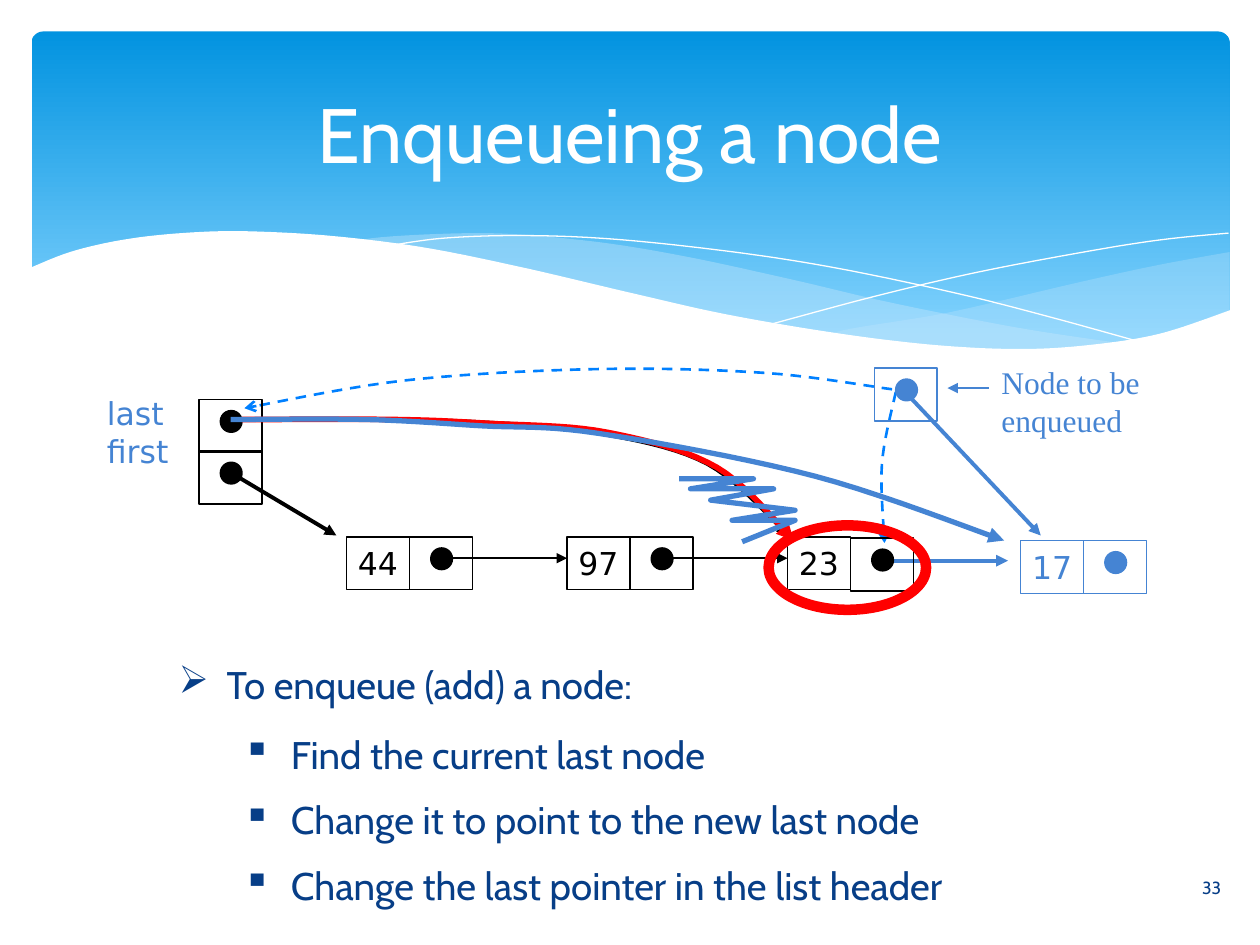
from lxml.etree import SubElement
from pptx import Presentation
from pptx.dml.color import RGBColor
from pptx.enum.dml import MSO_LINE_DASH_STYLE as Dash
from pptx.enum.shapes import MSO_CONNECTOR, MSO_SHAPE
from pptx.enum.text import MSO_ANCHOR as Anchor, PP_ALIGN as Align
from pptx.oxml.ns import qn
from pptx.util import Inches, Pt

BLACK, BLUE, RED, WHITE = "000000", "4584D3", "FF0000", "FFFFFF"
SKY, NAVY, HAZE = "0080FF", "073E87", "C6E7FC"
CELL_W, CELL_H, DOT = 0.5, 0.42, 0.17

RIGHT_HAZE = [(9.76, 2), (9.21, 2.1), (8.61, 2.23), (7.53, 2.48), (6.61, 2.65),
              (7.32, 2.74), (8.03, 2.78), (8.72, 2.74), (9.35, 2.62), (9.76, 2.47)]
LEFT_HAZE = [(8.93, 2.73), (8.07, 2.6), (7.06, 2.4), (6.29, 2.22), (5.41, 2.03),
             (4.65, 1.91), (3.8, 1.85), (2.86, 1.91), (3.62, 2.03), (4.49, 2.22),
             (5.66, 2.48), (6.5, 2.64), (7.22, 2.74), (8.07, 2.78), (8.93, 2.73)]
FALLING_LINE = [(3.09, 1.95), (3.53, 1.89), (4.16, 1.87), (4.89, 1.9), (5.82, 2),
                (6.65, 2.13), (7.6, 2.33), (8.31, 2.51), (9.07, 2.72)]
RISING_LINE = [(6.13, 2.57), (6.95, 2.35), (7.76, 2.16), (8.66, 1.99), (9.24, 1.9),
               (9.75, 1.85)]
WAVE = [(9.77, 2.46), (9.2, 2.65), (8.63, 2.74), (8.09, 2.77), (7.44, 2.74),
        (6.68, 2.65), (5.79, 2.5), (5.03, 2.33), (4.18, 2.13), (3.4, 1.97),
        (2.71, 1.88), (2.11, 1.84), (1.61, 1.84), (1.06, 1.89), (0.59, 1.99),
        (0.23, 2.13)]
SCRIBBLE = [(5.39, 3.8), (5.98, 3.8), (5.48, 3.88), (6.14, 3.88), (5.64, 3.97),
            (6.31, 4.05), (5.81, 4.13), (6.31, 4.13), (5.89, 4.3)]


def rgb(color):
    return RGBColor.from_string(color)


def style(shape, fill=None, line=None, width=1, alpha=None):
    shape.shadow.inherit = False
    if fill:
        shape.fill.solid()
        shape.fill.fore_color.rgb = rgb(fill)
        if alpha:
            color = shape.fill._xPr.find(".//" + qn("a:srgbClr"))
            SubElement(color, qn("a:alpha"), val=str(alpha * 1000))
    else:
        shape.fill.background()
    if line:
        shape.line.color.rgb = rgb(line)
        shape.line.width = Pt(width)
    else:
        shape.line.fill.background()


def add_head(shape, kind):
    SubElement(shape.line._get_or_add_ln(), qn("a:tailEnd"), type=kind)


def smooth(knots, steps=10):
    """Points of a Catmull-Rom curve that passes through the knots."""
    padded = [knots[0], *knots, knots[-1]]
    points = [knots[0]]
    for a, b, c, d in zip(padded, padded[1:], padded[2:], padded[3:]):
        for step in range(1, steps + 1):
            t = step / steps
            points.append(tuple(
                0.5 * (2 * q + (r - p) * t + (2 * p - 5 * q + 4 * r - s) * t ** 2
                       + (3 * q - p - 3 * r + s) * t ** 3)
                for p, q, r, s in zip(a, b, c, d)))
    return points


def add_outline(page, points, closed=False, **look):
    corners = [(Inches(x), Inches(y)) for x, y in points]
    builder = page.shapes.build_freeform(*corners[0], scale=1.0)
    builder.add_line_segments(corners[1:], close=closed)
    shape = builder.convert_to_shape()
    style(shape, **look)
    return shape


def add_curve(page, knots, color, width, head="triangle", dashed=False):
    curve = add_outline(page, smooth(knots), line=color, width=width)
    if dashed:
        curve.line.dash_style = Dash.DASH
    add_head(curve, head)


def add_arrow(page, start, end, color, width):
    arrow = page.shapes.add_connector(
        MSO_CONNECTOR.STRAIGHT, *(Inches(v) for v in (*start, *end)))
    arrow.line.color.rgb = rgb(color)
    arrow.line.width = Pt(width)
    add_head(arrow, "triangle")
    SubElement(arrow._element.spPr, qn("a:effectLst"))


def add_shape(page, preset, x, y, w, h, **look):
    shape = page.shapes.add_shape(preset, *(Inches(v) for v in (x, y, w, h)))
    style(shape, **look)
    return shape


def write(para, text, font, size, color):
    para.text = text
    for span in para.runs:
        span.font.name = font
        span.font.size = Pt(size)
        span.font.color.rgb = rgb(color)


def add_text(page, place, lines, font, size, color, align=Align.LEFT,
             anchor=Anchor.TOP, bullet=None):
    box = page.shapes.add_textbox(*(Inches(v) for v in place))
    frame = box.text_frame
    frame.word_wrap = True
    frame.vertical_anchor = anchor
    for number, text in enumerate(lines):
        para = frame.add_paragraph() if number else frame.paragraphs[0]
        write(para, text, font, size, color)
        para.alignment = align
        if bullet:
            para.space_before = Pt(size / 2)
            props = para._p.get_or_add_pPr()
            props.set("marL", str(Inches(0.38)))
            props.set("indent", str(-Inches(0.38)))
            SubElement(props, qn("a:buChar"), char=bullet)


def add_cell(page, x, y, color, value=None):
    cell = add_shape(page, MSO_SHAPE.RECTANGLE, x, y, CELL_W, CELL_H, line=color)
    if value:
        frame = cell.text_frame
        frame.word_wrap = False
        frame.vertical_anchor = Anchor.MIDDLE
        write(frame.paragraphs[0], value, "DejaVu Sans", 18, color)
        frame.paragraphs[0].alignment = Align.CENTER


def add_pointer(page, x, y, color):
    """A cell with the dot that an arrow starts from."""
    add_cell(page, x, y, color)
    add_shape(page, MSO_SHAPE.OVAL, x + 0.17, y + 0.09, DOT, DOT, fill=color, line=color)


def add_node(page, x, y, value, color, drop=0):
    add_cell(page, x, y, color, value)
    add_pointer(page, x + CELL_W, y + drop, color)


def add_banner(page):
    banner = add_shape(page, MSO_SHAPE.ROUNDED_RECTANGLE, 0.25, 0.25, 9.51, 2.7)
    banner.adjustments[0] = 0.034
    banner.fill.gradient()
    banner.fill.gradient_angle = 270
    for stop, place, color in zip(banner.fill.gradient_stops, (0, 0.9), ("0293E0", "83D3FE")):
        stop.position = place
        stop.color.rgb = rgb(color)
    add_outline(page, smooth(RIGHT_HAZE), True, fill=HAZE, alpha=29)
    add_outline(page, smooth(LEFT_HAZE), True, fill=HAZE, alpha=40)
    for knots in (FALLING_LINE, RISING_LINE):
        add_outline(page, smooth(knots), line=WHITE, width=0)
    add_outline(page, smooth(WAVE) + [(0.23, 3.29), (9.77, 3.29)], True, fill=WHITE)


def add_new_node(page):
    add_arrow(page, (7, 4.45), (8, 4.45), BLUE, 2.25)
    add_curve(page, [(7.11, 3.11), (7, 3.68), (7.02, 4.31)], SKY, 1.5, "arrow", True)
    add_node(page, 8.1, 4.29, "17", BLUE)
    add_pointer(page, 6.94, 2.92, BLUE)
    add_text(page, (7.85, 2.83, 1.67, 0.9), ["Node to be enqueued"],
             "Times New Roman", 18, BLUE)
    add_arrow(page, (7.85, 3.08), (7.52, 3.08), BLUE, 1.5)
    add_arrow(page, (7.23, 3.16), (8.26, 4.25), BLUE, 2.25)
    add_curve(page, [(7.08, 3.09), (6.07, 2.96), (4.72, 2.93), (3.21, 3.02), (1.94, 3.24)],
              SKY, 1.5, "arrow", True)


def add_queue(page):
    add_curve(page, [(1.83, 3.33), (2.92, 3.33), (3.79, 3.35), (4.7, 3.43), (5.61, 3.68),
                     (6.26, 4.25)], BLACK, 2.25)
    for x, value, drop in ((2.75, "44", 0), (4.5, "97", 0), (6.25, "23", 0.01)):
        add_node(page, x, 4.26, value, BLACK, drop)
    for x in (3.5, 5.25):
        add_arrow(page, (x, 4.43), (x + 1, 4.43), BLACK, 1)
    for y in (3.17, 3.58):
        add_pointer(page, 1.58, y, BLACK)
    add_arrow(page, (1.83, 3.75), (2.67, 4.25), BLACK, 2.25)
    add_text(page, (0.75, 3.08, 1.08, 0.9), ["last\vfirst"], "DejaVu Sans", 18, BLUE)


def add_changes(page):
    add_curve(page, [(1.92, 3.33), (3.12, 3.33), (3.87, 3.36), (4.81, 3.43), (5.69, 3.71),
                     (6.3, 4.29)], RED, 3.25)
    add_shape(page, MSO_SHAPE.OVAL, 6.1, 4.17, 1.25, 0.67, line=RED, width=6)
    add_curve(page, [(1.83, 3.33), (2.91, 3.33), (3.82, 3.38), (4.75, 3.44), (6.47, 3.78),
                     (7.97, 4.29)], BLUE, 3)
    add_outline(page, SCRIBBLE, line=BLUE, width=3)


def main():
    deck = Presentation()
    deck.slide_width, deck.slide_height = Inches(10), Inches(7.5)
    page = deck.slides.add_slide(deck.slide_layouts[6])
    add_banner(page)
    add_text(page, (5.65, 6.84, 4.14, 0.4), ["33"], "Cabin", 10, NAVY,
             Align.RIGHT, Anchor.MIDDLE)
    add_text(page, (0.5, 0.37, 9, 1.37), ["Enqueueing a node"], "Cabin", 44, WHITE,
             Align.CENTER, Anchor.MIDDLE)
    add_new_node(page)
    add_text(page, (1.32, 5.2, 6.08, 0.47), ["To enqueue (add) a node:"],
             "Cabin", 22, NAVY, bullet="➢")
    add_text(page, (1.83, 5.75, 6.43, 1.58),
             ["Find the current last node", "Change it to point to the new last node",
              "Change the last pointer in the list header"], "Cabin", 22, NAVY, bullet="▪")
    add_queue(page)
    add_changes(page)
    deck.save("out.pptx")


if __name__ == "__main__":
    main()
